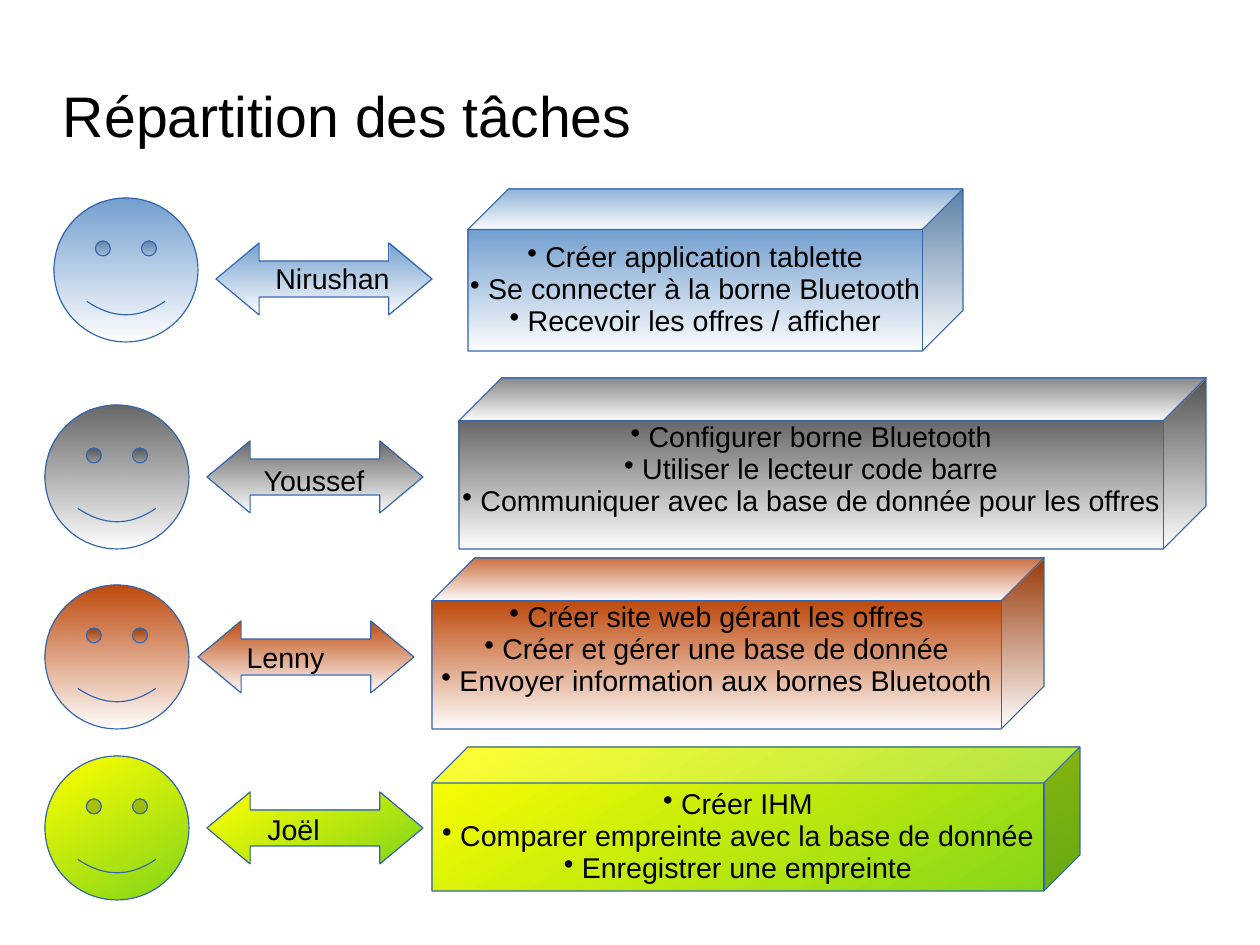
from lxml import etree
from pptx import Presentation
from pptx.dml.color import RGBColor
from pptx.enum.shapes import MSO_SHAPE
from pptx.enum.text import MSO_ANCHOR, PP_ALIGN
from pptx.oxml.ns import qn
from pptx.util import Cm, Pt

FACE, ARROW, CUBE = MSO_SHAPE.SMILEY_FACE, MSO_SHAPE.LEFT_RIGHT_ARROW, MSO_SHAPE.CUBE
MIDDLE, LEFT, CENTER = MSO_ANCHOR.MIDDLE, PP_ALIGN.LEFT, PP_ALIGN.CENTER

COLORS = {"text": "000000", "outline": "3465AF", "blue": "729FCF", "gray": "666666",
          "rust": "BE480A", "green": "81D41A", "yellow": "FFFF00"}
FONT = "Arial"
LINE_SPACING = 0.93
COLUMNS, ROWS = 28, 21
FACE_SIZE = (3.2, 3.2)
ARROW_SIZE = (4.8, 1.6)
LABEL_HEIGHT = 0.97
BULLET_INDENT = Cm(0.4)
CENTERED_INSETS = (0.05, 0.05)
RAISED_INSETS = (0, 0.66)

TITLE = "Répartition des tâches"
TITLE_BOX = (1.4, 1.6, 20, 2)
FADE = 270
DIAGONAL = 120
TEAM = [
    {"name": "Nirushan", "colors": ("blue", None), "angle": FADE,
     "face": (1.2, 4.4), "arrow": (4.8, 5.4), "label": (5.87, 5.74, 3.07),
     "cube": (10.4, 4.2, 11, 3.6), "insets": CENTERED_INSETS,
     "tasks": ["Créer application tablette",
               "Se connecter à la borne Bluetooth",
               "Recevoir les offres / afficher"]},
    {"name": "Youssef", "colors": ("gray", None), "angle": FADE,
     "face": (1, 9), "arrow": (4.6, 9.8), "label": (5.61, 10.24, 3.5),
     "cube": (10.2, 8.4, 16.6, 3.8), "insets": RAISED_INSETS,
     "tasks": ["Configurer borne Bluetooth",
               "Utiliser le lecteur code barre",
               "Communiquer avec la base de donnée pour les offres"]},
    {"name": "Lenny", "colors": ("rust", None), "angle": FADE,
     "face": (1, 13), "arrow": (4.4, 13.8), "label": (5.23, 14.17, 2.9),
     "cube": (9.6, 12.4, 14.5, 3.8), "insets": RAISED_INSETS,
     "tasks": ["Créer site web gérant les offres",
               "Créer et gérer une base de donnée",
               "Envoyer information aux bornes Bluetooth"]},
    {"name": "Joël", "colors": ("green", "yellow"), "angle": DIAGONAL,
     "face": (1, 16.8), "arrow": (4.6, 17.6), "label": (5.69, 17.98, 2.2),
     "cube": (9.6, 16.6, 14.4, 3.2), "insets": CENTERED_INSETS,
     "tasks": ["Créer IHM",
               "Comparer empreinte avec la base de donnée",
               "Enregistrer une empreinte"]},
]
TEAM[2]["cube"] = (9.6, 12.4, 13.6, 3.8)


def color(name):
    return RGBColor.from_string(COLORS[name])


def place(*cells):
    return [Cm(cell) for cell in cells]


def format_paragraph(paragraph, size, alignment=LEFT):
    paragraph.alignment = alignment
    paragraph.line_spacing = LINE_SPACING
    paragraph.font.name = FONT
    paragraph.font.size = Pt(size)
    paragraph.font.color.rgb = color("text")


def add_gradient_shape(slide, kind, box, member):
    shape = slide.shapes.add_shape(kind, *place(*box))
    shape.shadow.inherit = False
    shape.line.color.rgb = color("outline")
    shape.line.width = Pt(0.75)
    shape.fill.gradient()
    shape.fill.gradient_angle = member["angle"]
    start, end = member["colors"]
    for stop, name in zip(shape.fill.gradient_stops, (start, end or start)):
        stop.color.rgb = color(name)
    if end is None:
        last_color = list(shape._element.spPr.iter(qn("a:srgbClr")))[1]
        etree.SubElement(last_color, qn("a:alpha"), val="0")
    return shape


def add_tasks(cube, member):
    frame = cube.text_frame
    frame.word_wrap = False
    frame.vertical_anchor = MIDDLE
    frame.margin_top, frame.margin_bottom = place(*member["insets"])
    for index, task in enumerate(member["tasks"]):
        paragraph = frame.add_paragraph() if index else frame.paragraphs[0]
        paragraph.text = task
        format_paragraph(paragraph, 18, CENTER)
        properties = paragraph._p.get_or_add_pPr()
        properties.set("marL", str(BULLET_INDENT))
        properties.set("indent", str(-BULLET_INDENT))
        bullet = etree.Element(qn("a:buChar"), char="•")
        properties.find(qn("a:defRPr")).addprevious(bullet)


def add_member(slide, member):
    add_gradient_shape(slide, FACE, member["face"] + FACE_SIZE, member)
    arrow = add_gradient_shape(slide, ARROW, member["arrow"] + ARROW_SIZE, member)
    arrow.adjustments[1] = 0.6
    add_tasks(add_gradient_shape(slide, CUBE, member["cube"], member), member)
    label = slide.shapes.add_textbox(*place(*member["label"], LABEL_HEIGHT))
    label.text_frame.word_wrap = True
    label.text_frame.text = member["name"]
    format_paragraph(label.text_frame.paragraphs[0], 18)


def add_title(slide):
    title = slide.shapes.title
    title.left, title.top, title.width, title.height = place(*TITLE_BOX)
    frame = title.text_frame
    frame.text = TITLE
    frame.vertical_anchor = MIDDLE
    frame.margin_left = frame.margin_right = frame.margin_bottom = 0
    frame.margin_top = Cm(0.08)
    format_paragraph(frame.paragraphs[0], 36)


def main():
    """Build the slide that shows each team member's tasks."""
    presentation = Presentation()
    presentation.slide_width, presentation.slide_height = place(COLUMNS, ROWS)
    slide = presentation.slides.add_slide(presentation.slide_layouts[5])
    add_title(slide)
    for member in TEAM:
        add_member(slide, member)
    presentation.save("out.pptx")


if __name__ == "__main__":
    main()
